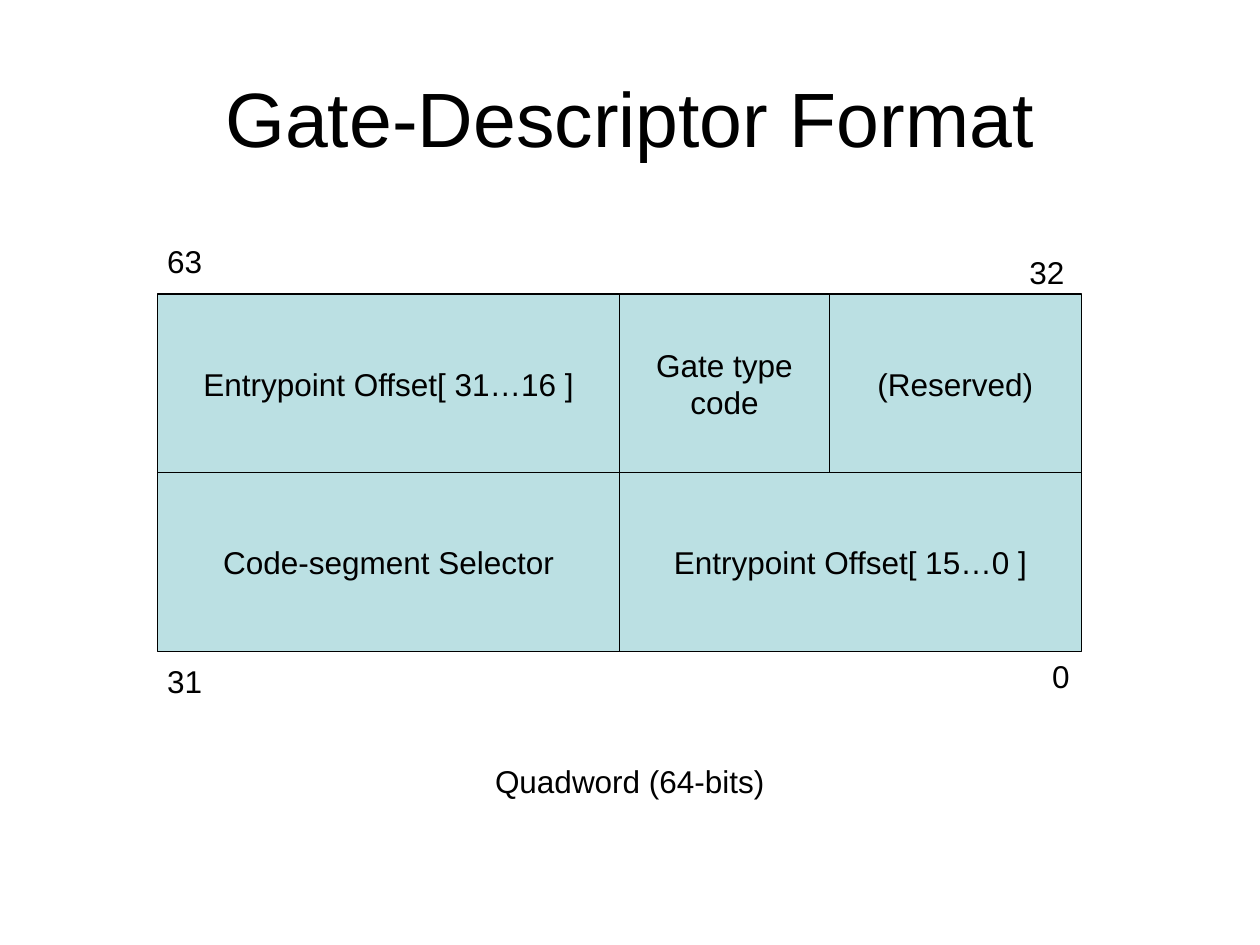
from dataclasses import dataclass
from pptx import Presentation
from pptx.dml.color import RGBColor
from pptx.enum.shapes import MSO_SHAPE
from pptx.enum.text import MSO_ANCHOR, MSO_AUTO_SIZE, PP_ALIGN
from pptx.util import Cm, Pt

RECT = MSO_SHAPE.RECTANGLE
MID, TOP = MSO_ANCHOR.MIDDLE, MSO_ANCHOR.TOP
GROW = MSO_AUTO_SIZE.SHAPE_TO_FIT_TEXT
CENTER, LEFT = PP_ALIGN.CENTER, PP_ALIGN.LEFT


@dataclass(frozen=True)
class Theme:
    font: str = "Arial"
    ink: RGBColor = RGBColor(0, 0, 0)
    fill: RGBColor = RGBColor(0xBB, 0xE0, 0xE3)
    head: Pt = Pt(44)
    body: Pt = Pt(18)
    line: Pt = Pt(0.75)


theme = Theme()


def write(shape, lines, size, align, anchor, wrap=False):
    frame = shape.text_frame
    frame.word_wrap = wrap
    frame.vertical_anchor = anchor
    for i, line in enumerate(lines):
        para = frame.add_paragraph() if i else frame.paragraphs[0]
        para.alignment = align
        run = para.add_run()
        run.text = line
        run.font.name = theme.font
        run.font.size = size
        run.font.color.rgb = theme.ink


deck = Presentation()
deck.slide_width, deck.slide_height = Cm(25.4), Cm(19.05)
slide = deck.slides.add_slide(deck.slide_layouts[6])
shapes = slide.shapes

title = shapes.add_textbox(Cm(1.27), Cm(0.76), Cm(22.86), Cm(3.18))
write(title, ["Gate-Descriptor Format"], theme.head, CENTER, MID, True)

left, top, high = 3.18, 5.93, 3.6
half, gate = 9.31, 4.23
rows = [
    [
        (half, ["Entrypoint Offset[ 31…16 ]"]),
        (gate, ["Gate type", "code"]),
        (half - gate, ["(Reserved)"]),
    ],
    [
        (half, ["Code-segment Selector"]),
        (half, ["Entrypoint Offset[ 15…0 ]"]),
    ],
]
for i, row in enumerate(rows):
    x = left
    for wide, lines in row:
        field = shapes.add_shape(RECT, Cm(x), Cm(top + i * high), Cm(wide), Cm(high))
        field.shadow.inherit = False
        field.fill.solid()
        field.fill.fore_color.rgb = theme.fill
        field.line.color.rgb = theme.ink
        field.line.width = theme.line
        write(field, lines, theme.body, CENTER, MID)
        x += wide

labels = [
    ("63", 3.12, 4.75, 1.22),
    ("32", 20.5, 4.98, 1.22),
    ("31", 3.12, 13.23, 1.22),
    ("0", 20.96, 13.13, 0.86),
    ("Quadword (64-bits)", 9.73, 15.24, 5.94),
]
for text, x, y, wide in labels:
    label = shapes.add_textbox(Cm(x), Cm(y), Cm(wide), Cm(1.02))
    write(label, [text], theme.body, LEFT, TOP)
    label.text_frame.auto_size = GROW

deck.save("out.pptx")
